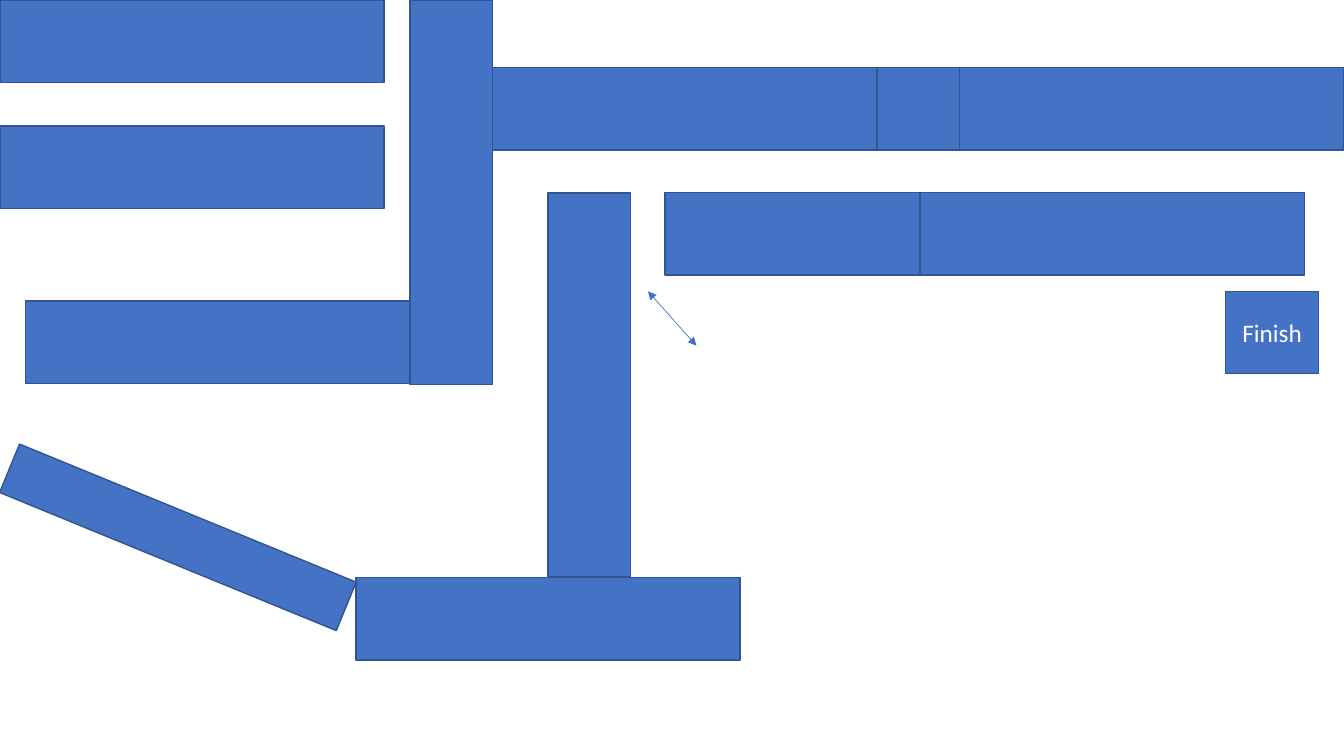
import pptx
import pptx.util
import pptx.dml.color
import pptx.enum.shapes
import pptx.enum.text
import pptx.oxml
import pptx.oxml.ns

Cm = pptx.util.Cm
Pt = pptx.util.Pt
WALL_BLUE = pptx.dml.color.RGBColor(0x44, 0x72, 0xC4)
EDGE_BLUE = pptx.dml.color.RGBColor(0x32, 0x54, 0x91)
WHITE = pptx.dml.color.RGBColor(0xFF, 0xFF, 0xFF)

WALL_LENGTH = 9.68
WALL_THICKNESS = 2.08
UPPER_ROW = 1.7
LOWER_ROW = 4.85

deck = pptx.Presentation()
deck.slide_width = Cm(33.87)
deck.slide_height = Cm(19.05)
page = deck.slides.add_slide(deck.slide_layouts[6])


def add_block(left, top, width, height, rotation=0):
    block = page.shapes.add_shape(
        pptx.enum.shapes.MSO_SHAPE.RECTANGLE, Cm(left), Cm(top), Cm(width), Cm(height)
    )
    block.rotation = rotation
    block.shadow.inherit = False
    block.fill.solid()
    block.fill.fore_color.rgb = WALL_BLUE
    block.line.color.rgb = EDGE_BLUE
    block.line.width = Pt(1)
    return block


walls = [
    (0, 0, 0),
    (0, 3.18, 0),
    (6.53, 3.81, 90),
    (0.64, 7.59, 0),
    (8.97, 14.55, 0),
    (10.01, 8.66, 270),
    (12.42, UPPER_ROW, 0),
    (16.76, LOWER_ROW, 0),
    (23.19, LOWER_ROW, 0),
    (22.12, UPPER_ROW, 0),
    (24.18, UPPER_ROW, 0),
]
for left, top, rotation in walls:
    add_block(left, top, WALL_LENGTH, WALL_THICKNESS, rotation)

add_block(-0.1, 12.88, 9.17, 1.32, 22.3)

arrow = page.shapes.add_connector(
    pptx.enum.shapes.MSO_CONNECTOR.STRAIGHT, Cm(16.33), Cm(7.34), Cm(17.55), Cm(8.71)
)
arrow.line.color.rgb = WALL_BLUE
arrow.line.width = Pt(0.5)
for end in ("a:headEnd", "a:tailEnd"):
    tip = pptx.oxml.parse_xml(f"<{end} {pptx.oxml.ns.nsdecls('a')} type='triangle'/>")
    arrow.line._get_or_add_ln().append(tip)
arrow_properties = arrow._element.spPr
arrow_properties.append(
    pptx.oxml.parse_xml(f"<a:effectLst {pptx.oxml.ns.nsdecls('a')}/>")
)

finish = add_block(30.89, 7.34, 2.34, WALL_THICKNESS)
frame = finish.text_frame
frame.word_wrap = True
frame.vertical_anchor = pptx.enum.text.MSO_ANCHOR.MIDDLE
para = frame.paragraphs[0]
para.alignment = pptx.enum.text.PP_ALIGN.CENTER
span = para.add_run()
span.text = "Finish"
span.font.name = "Calibri"
span.font.size = Pt(18)
span.font.color.rgb = WHITE

deck.save("out.pptx")
